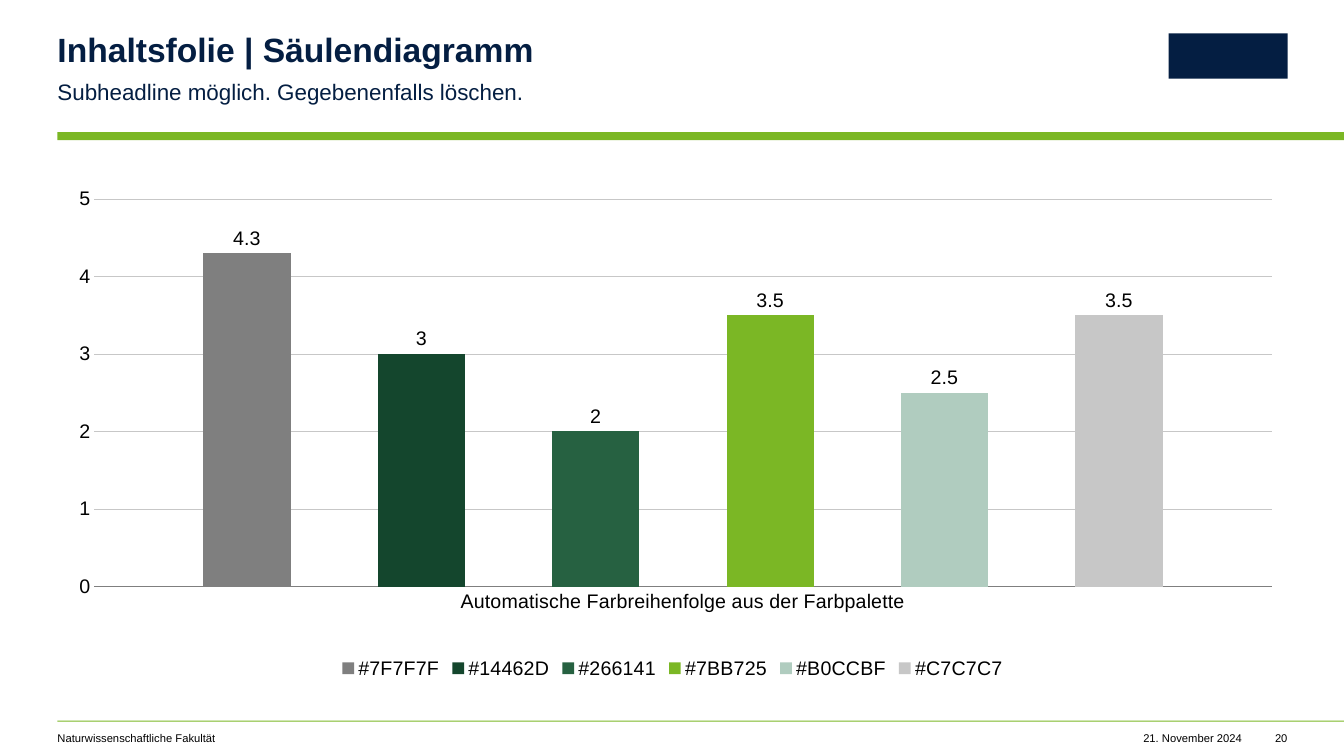
"""Build a content slide with a clustered column chart."""
from dataclasses import dataclass

from lxml.etree import SubElement
from pptx import Presentation
from pptx.chart.chart import Chart
from pptx.chart.data import CategoryChartData
from pptx.dml.color import RGBColor
from pptx.enum.chart import XL_CHART_TYPE, XL_LABEL_POSITION as LABEL, XL_LEGEND_POSITION as LEGEND
from pptx.enum.chart import XL_TICK_MARK as TICK
from pptx.enum.shapes import MSO_SHAPE
from pptx.enum.text import MSO_ANCHOR, MSO_AUTO_SIZE, PP_ALIGN
from pptx.oxml import parse_xml
from pptx.oxml.ns import nsdecls, qn
from pptx.slide import Slide
from pptx.text.text import Font
from pptx.util import Inches, Pt

FONT = "Arial"
NAVY = RGBColor(0x04, 0x1E, 0x42)
GREEN = RGBColor(0x7B, 0xB7, 0x25)
BLACK = RGBColor(0x00, 0x00, 0x00)
GRAY = RGBColor(0x7F, 0x7F, 0x7F)
LIGHT_GRAY = RGBColor(0xC7, 0xC7, 0xC7)
DARK_GREEN = RGBColor(0x14, 0x46, 0x2D)
MID_GREEN = RGBColor(0x26, 0x61, 0x41)
PALE_GREEN = RGBColor(0xB0, 0xCC, 0xBF)

MARGIN = 0.57
CATEGORY = "Automatische Farbreihenfolge aus der Farbpalette"
PLOT_AREA = {"x": 0.03, "y": 0.039, "w": 0.957, "h": 0.769}


@dataclass
class Box:
    left: float
    top: float
    width: float
    height: float

    def emu(self) -> tuple:
        return tuple(Inches(v) for v in (self.left, self.top, self.width, self.height))


@dataclass
class Label:
    text: str
    box: Box
    size: float = 8
    color: RGBColor = BLACK
    bold: bool = False
    align: PP_ALIGN = PP_ALIGN.LEFT
    wrap: bool = True
    line_spacing: float = 1.0
    space_after: float = 0
    inset_right: float = 0


@dataclass
class Column:
    color: RGBColor
    value: float


TITLE = Label("Inhaltsfolie | Säulendiagramm", Box(MARGIN, 0.33, 7.49, 0.36),
              24, NAVY, bold=True, line_spacing=0.9)
SUBHEADLINE = Label("Subheadline möglich. Gegebenenfalls löschen.", Box(MARGIN, 0.75, 7.49, 0.27),
                    16, NAVY, line_spacing=1.1, space_after=12, inset_right=0.39)
FOOTERS = [
    Label("Naturwissenschaftliche Fakultät", Box(MARGIN, 7.26, 5.98, 0.13)),
    Label("21. November 2024", Box(11.39, 7.26, 0.93, 0.13), align=PP_ALIGN.RIGHT, wrap=False),
    Label("20", Box(12.56, 7.26, 0.21, 0.13), align=PP_ALIGN.RIGHT, wrap=False),
]
BARS = [
    (Box(MARGIN, 1.31, 12.77, 0.08), GREEN),
    (Box(MARGIN, 7.15, 12.77, 0.01), GREEN),
    (Box(11.59, 0.33, 1.18, 0.45), NAVY),
]
COLUMNS = [
    Column(GRAY, 4.3), Column(DARK_GREEN, 3), Column(MID_GREEN, 2),
    Column(GREEN, 3.5), Column(PALE_GREEN, 2.5), Column(LIGHT_GRAY, 3.5),
]


def style_font(font: Font, size: float, color: RGBColor, bold: bool = False) -> None:
    font.name, font.size, font.bold = FONT, Pt(size), bold
    font.color.rgb = color


def fill_text(sp, label: Label) -> None:
    sp.left, sp.top, sp.width, sp.height = label.box.emu()
    tf = sp.text_frame
    tf.margin_left = tf.margin_top = tf.margin_bottom = 0
    tf.margin_right = Inches(label.inset_right)
    tf.word_wrap = label.wrap
    tf.auto_size = MSO_AUTO_SIZE.NONE
    tf.vertical_anchor = MSO_ANCHOR.TOP
    p = tf.paragraphs[0]
    p.alignment, p.line_spacing = label.align, label.line_spacing
    p.space_before, p.space_after = Pt(0), Pt(label.space_after)
    r = p.add_run()
    r.text = label.text
    style_font(r.font, label.size, label.color, label.bold)


def remove_bullet(sp) -> None:
    pPr = sp.text_frame.paragraphs[0]._p.get_or_add_pPr()
    pPr.set("marL", "0")
    pPr.set("indent", "0")
    SubElement(pPr, qn("a:buNone"))


def add_bar(s: Slide, box: Box, color: RGBColor) -> None:
    sp = s.shapes.add_shape(MSO_SHAPE.RECTANGLE, *box.emu())
    sp.shadow.inherit = False
    sp.fill.solid()
    sp.fill.fore_color.rgb = color
    sp.line.fill.background()


def place_plot_area(chart: Chart) -> None:
    plot_area = chart.element.find(qn("c:chart")).find(qn("c:plotArea"))
    for old in plot_area.findall(qn("c:layout")):
        plot_area.remove(old)
    layout = parse_xml(f"<c:layout {nsdecls('c')}><c:manualLayout/></c:layout>")
    settings = {"layoutTarget": "inner", "xMode": "edge", "yMode": "edge", **PLOT_AREA}
    for tag, value in settings.items():
        SubElement(layout[0], qn(f"c:{tag}")).set("val", str(value))
    plot_area.insert(0, layout)


def style_axes(chart: Chart) -> None:
    category, value = chart.category_axis, chart.value_axis
    for axis in (category, value):
        axis.major_tick_mark = axis.minor_tick_mark = TICK.NONE
        style_font(axis.tick_labels.font, 14, BLACK)
    value.minimum_scale, value.maximum_scale, value.major_unit = 0, 5, 1
    value.format.line.fill.background()
    value.has_major_gridlines = True
    lines = ((category.format.line, GRAY), (value.major_gridlines.format.line, LIGHT_GRAY))
    for line, color in lines:
        line.color.rgb, line.width = color, Pt(0.5)


def add_column_chart(s: Slide, box: Box) -> None:
    data = CategoryChartData()
    data.categories = [CATEGORY]
    for column in COLUMNS:
        data.add_series(f"#{column.color}", [column.value])
    chart = s.shapes.add_chart(XL_CHART_TYPE.COLUMN_CLUSTERED, *box.emu(), data).chart
    style_font(chart.font, 14, BLACK)
    chart.has_title = False
    chart.has_legend = True
    chart.legend.position = LEGEND.BOTTOM
    chart.legend.include_in_layout = False
    style_font(chart.legend.font, 14, BLACK)
    style_axes(chart)
    plot = chart.plots[0]
    plot.gap_width, plot.overlap, plot.vary_by_categories = 250, -100, False
    for series, column in zip(plot.series, COLUMNS):
        series.format.fill.solid()
        series.format.fill.fore_color.rgb = column.color
        labels = series.data_labels
        labels.show_value, labels.position = True, LABEL.OUTSIDE_END
        style_font(labels.font, 14, BLACK)
    place_plot_area(chart)


def main() -> None:
    prs = Presentation()
    prs.slide_width, prs.slide_height = Inches(13.33), Inches(7.5)
    s = prs.slides.add_slide(prs.slide_layouts[1])
    for box, color in BARS:
        add_bar(s, box, color)
    add_column_chart(s, Box(MARGIN, 1.78, 12.2, 5))
    fill_text(s.shapes.title, TITLE)
    body = s.placeholders[1]
    fill_text(body, SUBHEADLINE)
    remove_bullet(body)
    for footer in FOOTERS:
        fill_text(s.shapes.add_textbox(*footer.box.emu()), footer)
    prs.save("out.pptx")


if __name__ == "__main__":
    main()
